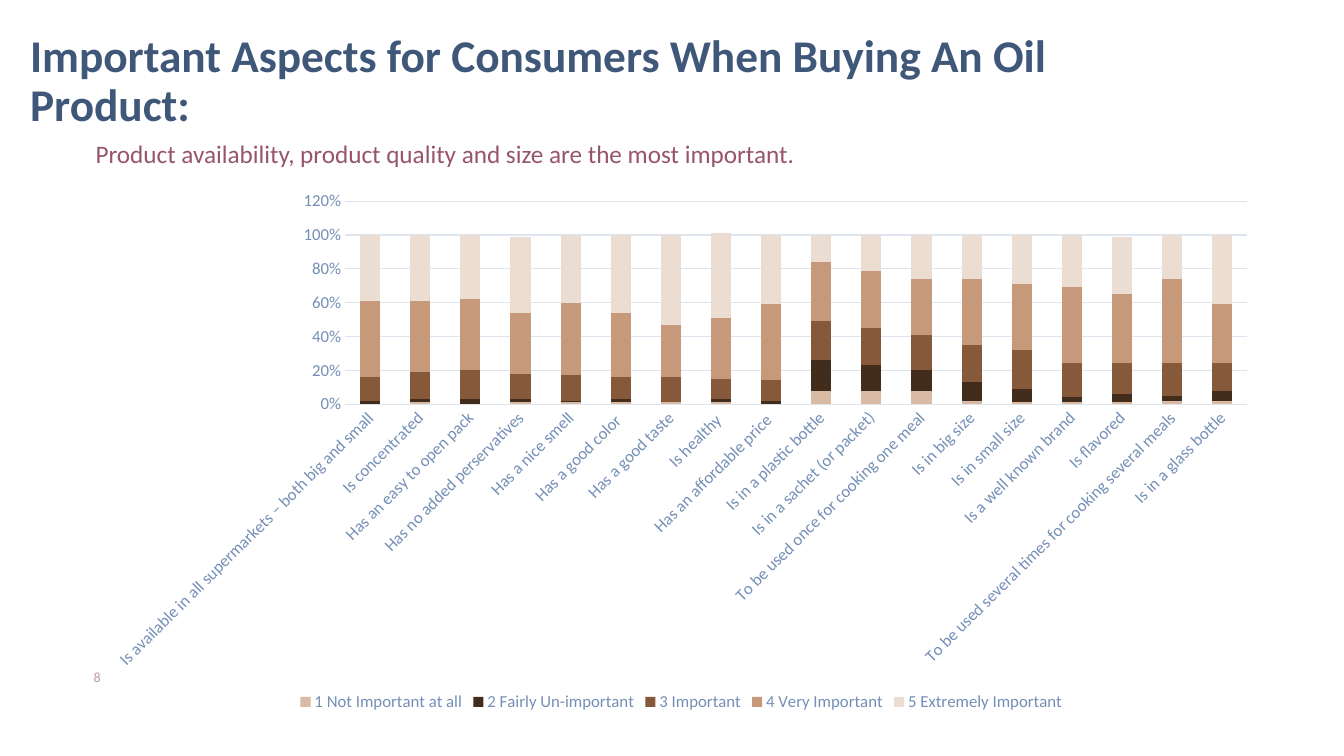
from dataclasses import dataclass

from pptx import Presentation
from pptx.chart.data import CategoryChartData
from pptx.dml.color import RGBColor
from pptx.enum.chart import XL_CHART_TYPE, XL_LEGEND_POSITION, XL_TICK_MARK
from pptx.enum.text import MSO_ANCHOR, PP_ALIGN
from pptx.util import Cm, Pt

STACKED = XL_CHART_TYPE.COLUMN_STACKED
LEGEND_BOTTOM = XL_LEGEND_POSITION.BOTTOM
NO_TICK = XL_TICK_MARK.NONE
TOP, MIDDLE = MSO_ANCHOR.TOP, MSO_ANCHOR.MIDDLE
LEFT, CENTER = PP_ALIGN.LEFT, PP_ALIGN.CENTER

FONT = "Calibri"
COLORS = {
    "title": "3F5779",
    "subtitle": "96556D",
    "page_number": "C396A7",
    "axis_text": "748FB6",
    "grid": "DFE5EE",
    "not_important": "D9BBA5",
    "fairly_unimportant": "422C1C",
    "important": "855939",
    "very_important": "C59979",
    "extremely_important": "ECDDD2",
}


@dataclass
class TextBlock:
    text: str
    left: float
    top: float
    width: float
    height: float
    size: float
    color: str
    inset: float = 0.1
    line_spacing: float = 0.9
    bold: bool = False
    anchor: MSO_ANCHOR = TOP
    align: PP_ALIGN = LEFT


@dataclass
class Rating:
    name: str
    color: str
    percents: list[int]


TEXT_BLOCKS = [
    TextBlock("Important Aspects for Consumers When Buying An Oil Product:",
              0.66, 1.3, 26.5, 1.57, 32.4, "title", bold=True, anchor=MIDDLE),
    TextBlock("Product availability, product quality and size are the most important.",
              2.31, 3.58, 26.5, 1.93, 18, "subtitle"),
    TextBlock("8", 1.78, 16.84, 1.09, 0.66, 10, "page_number",
              inset=0.25, line_spacing=1, align=CENTER),
]

ASPECTS = [
    "Is available in all supermarkets – both big and small",
    "Is concentrated",
    "Has an easy to open pack",
    "Has no added perservatives",
    "Has a nice smell",
    "Has a good color ",
    "Has a good taste",
    "Is healthy ",
    "Has an affordable price ",
    "Is in a plastic bottle",
    "Is in a sachet (or packet)",
    "To be used once for cooking one meal",
    "Is in big size",
    "Is in small size",
    "Is a well known brand",
    "Is flavored",
    "To be used several times for cooking several meals",
    "Is in a glass bottle",
]

RATINGS = [
    Rating("1 Not Important at all", "not_important",
           [0, 1, 0, 1, 1, 1, 1, 1, 0, 8, 8, 8, 2, 1, 1, 1, 2, 2]),
    Rating("2 Fairly Un-important", "fairly_unimportant",
           [2, 2, 3, 2, 1, 2, 0, 2, 2, 18, 15, 12, 11, 8, 3, 5, 3, 6]),
    Rating("3 Important", "important",
           [14, 16, 17, 15, 15, 13, 15, 12, 12, 23, 22, 21, 22, 23, 20, 18, 19, 16]),
    Rating("4 Very Important", "very_important",
           [45, 42, 42, 36, 43, 38, 31, 36, 45, 35, 34, 33, 39, 39, 45, 41, 50, 35]),
    Rating("5 Extremely Important", "extremely_important",
           [39, 39, 38, 45, 40, 46, 53, 50, 41, 16, 21, 26, 26, 29, 31, 34, 26, 41]),
]


def rgb(name: str) -> RGBColor:
    return RGBColor.from_string(COLORS[name])


def style_font(font, size: float, color: str, bold: bool = False) -> None:
    font.name = FONT
    font.size = Pt(size)
    font.bold = bold
    font.color.rgb = rgb(color)


def style_line(line) -> None:
    line.color.rgb = rgb("grid")
    line.width = Pt(0.75)


def add_text(page, block: TextBlock) -> None:
    box = page.shapes.add_textbox(Cm(block.left), Cm(block.top),
                                  Cm(block.width), Cm(block.height))
    frame = box.text_frame
    frame.word_wrap = True
    frame.vertical_anchor = block.anchor
    frame.margin_left = Cm(block.inset)
    frame.margin_top = frame.margin_right = frame.margin_bottom = 0
    para = frame.paragraphs[0]
    para.alignment = block.align
    para.line_spacing = block.line_spacing
    span = para.add_run()
    span.text = block.text
    style_font(span.font, block.size, block.color, block.bold)


def style_axes(chart) -> None:
    aspects, shares = chart.category_axis, chart.value_axis
    for axis in (aspects, shares):
        axis.major_tick_mark = axis.minor_tick_mark = NO_TICK
        style_font(axis.tick_labels.font, 12, "axis_text")
    style_line(aspects.format.line)
    slant = aspects._element.txPr.bodyPr
    slant.set("rot", "-2700000")
    slant.set("vert", "horz")

    shares.minimum_scale, shares.maximum_scale, shares.major_unit = 0, 1.2, 0.2
    shares.tick_labels.number_format = "0%"
    shares.tick_labels.number_format_is_linked = False
    shares.format.line.fill.background()
    style_line(shares.major_gridlines.format.line)


def add_rating_chart(page) -> None:
    data = CategoryChartData(number_format="0%")
    data.categories = ASPECTS
    for rating in RATINGS:
        data.add_series(rating.name, [percent / 100 for percent in rating.percents])
    chart = page.shapes.add_chart(STACKED, Cm(2.31), Cm(4.55), Cm(29.72), Cm(13.49),
                                  data).chart
    style_font(chart.font, 10, "title")
    chart.has_title = False
    chart.has_legend = True
    chart.legend.position = LEGEND_BOTTOM
    chart.legend.include_in_layout = False
    style_font(chart.legend.font, 12, "axis_text")
    style_axes(chart)

    plot = chart.plots[0]
    plot.gap_width, plot.overlap = 150, 100
    plot.vary_by_categories = False
    for series, rating in zip(plot.series, RATINGS):
        series.format.fill.solid()
        series.format.fill.fore_color.rgb = rgb(rating.color)


def main() -> None:
    deck = Presentation()
    deck.slide_width, deck.slide_height = Cm(33.87), Cm(19.05)
    page = deck.slides.add_slide(deck.slide_layouts[6])
    for block in TEXT_BLOCKS:
        add_text(page, block)
    add_rating_chart(page)
    deck.save("out.pptx")


if __name__ == "__main__":
    main()
